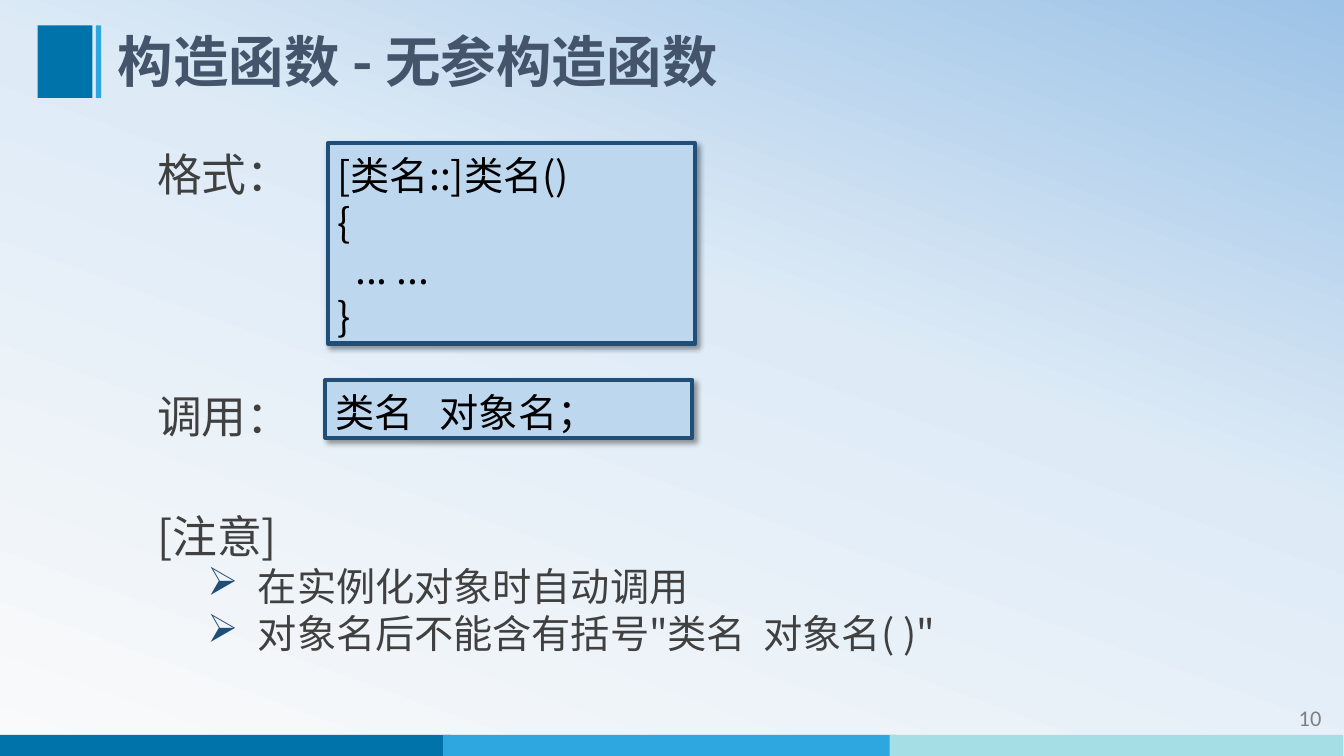
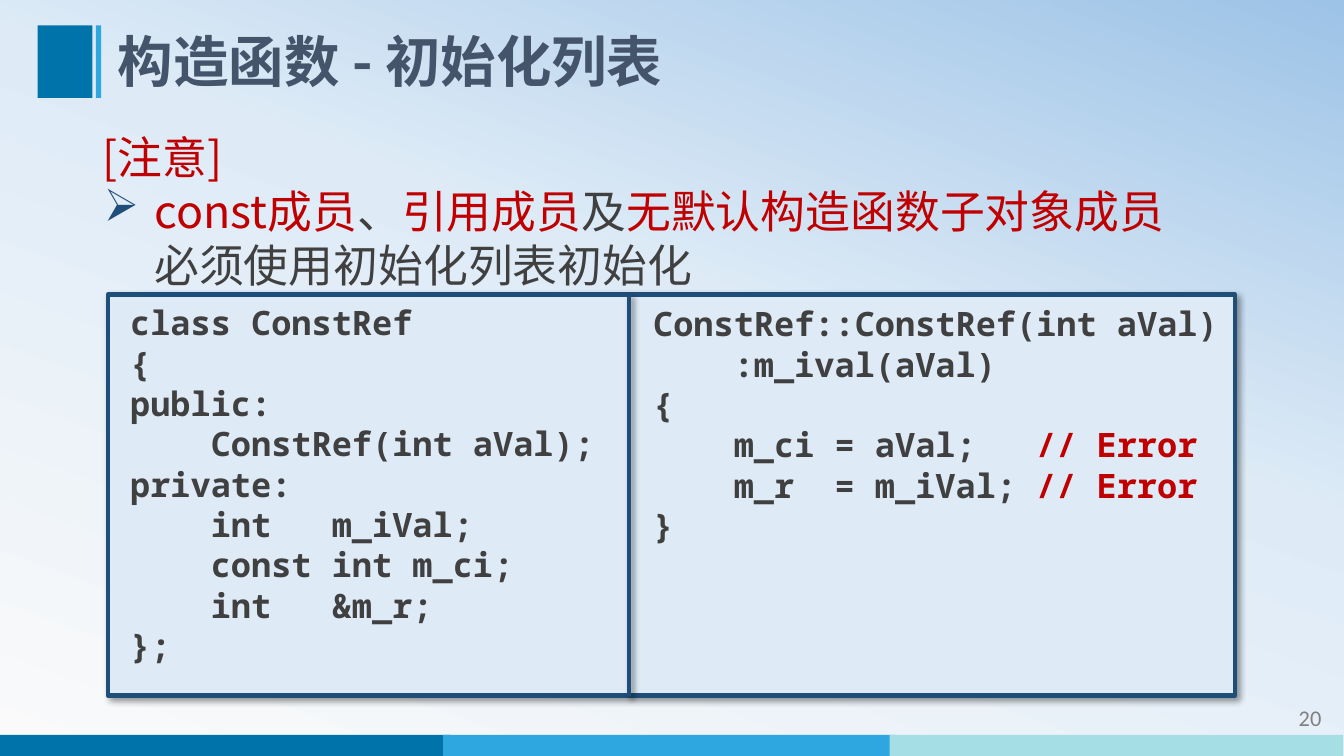
import dataclasses

import lxml.etree
import pptx
import pptx.dml.color
import pptx.enum.shapes
import pptx.enum.text
import pptx.oxml.ns
import pptx.util

Cm = pptx.util.Cm
Pt = pptx.util.Pt
qn = pptx.oxml.ns.qn


@dataclasses.dataclass(frozen=True)
class Theme:
    """Colours, fonts and type sizes shared by all slides."""
    bands: tuple = ("0073AB", "2EA7E0", "A5DEE4")
    backdrop: tuple = ((0, "FAFAFA"), (58, "DEEBF7"), (100, "9DC3E6"))
    title: str = "44546A"
    ink: str = "404040"
    black: str = "000000"
    alert: str = "C00000"
    muted: str = "808080"
    border: str = "1F4E79"
    panel: str = "BDD7EE"
    pale: str = "DEEBF7"
    sans: str = "Noto Sans CJK SC"
    mono: str = "Noto Sans Mono"
    digits: str = "Calibri"
    title_size: float = 39.6
    head_size: int = 32
    item_size: int = 28
    code_size: int = 24
    number_size: int = 16
    leading: float = 1.2


def add_node(parent, tag, **attributes):
    """Append a drawing element with the given attributes."""
    return lxml.etree.SubElement(parent, qn(tag), attributes)


def add_colour(parent, colour):
    """Append an RGB colour element."""
    return add_node(parent, "a:srgbClr", val=colour)


class Lecture:
    """Builds lecture slides in one style."""

    def __init__(self, theme):
        """Open an empty deck with the shared backdrop."""
        self.theme = theme
        self.deck = pptx.Presentation()
        self.deck.slide_width = Cm(33.87)
        self.deck.slide_height = Cm(19.05)
        self.page = None
        master = self.deck.slide_master
        fill = master.background.fill
        fill.gradient()
        fill.gradient_angle = 70
        stops = master.element.find(".//" + qn("a:gsLst"))
        for stop in list(stops):
            stops.remove(stop)
        for percent, colour in theme.backdrop:
            add_colour(add_node(stops, "a:gs", pos=str(percent * 1000)), colour)

    def add_page(self, title, number):
        """Start a slide with its bands, title and number."""
        theme = self.theme
        self.page = self.deck.slides.add_slide(self.deck.slide_layouts[6])
        for index, colour in enumerate(theme.bands):
            self.box(-0.08 + 11.25 * index, 18.52, 11.43, 0.53, colour)
        self.box(0.95, 0.64, 1.38, 1.83, theme.bands[0])
        self.box(2.42, 0.64, 0.13, 1.83, theme.bands[1])
        frame = self.text(29.51, 17.55, 4.04, 1.02)
        para = self.para(frame, [(number, theme.muted)], theme.number_size, theme.digits)
        para.alignment = pptx.enum.text.PP_ALIGN.RIGHT
        frame = self.text(2.72, 0.64, 27.58, 1.83)
        frame.vertical_anchor = pptx.enum.text.MSO_ANCHOR.MIDDLE
        self.para(frame, [(title, theme.title)], theme.title_size, bold=True, spacing=0.9)

    def box(self, left, top, width, height, colour, framed=False):
        """Add a rectangle and return its text frame."""
        shape = self.page.shapes.add_shape(
            pptx.enum.shapes.MSO_SHAPE.RECTANGLE,
            Cm(left), Cm(top), Cm(width), Cm(height))
        shape.fill.solid()
        shape.fill.fore_color.rgb = pptx.dml.color.RGBColor.from_string(colour)
        shape.shadow.inherit = False
        if framed:
            self.outline(shape)
        else:
            shape.line.fill.background()
        return self.prepare(shape.text_frame)

    def text(self, left, top, width, height):
        """Add a text box and return its text frame."""
        box = self.page.shapes.add_textbox(Cm(left), Cm(top), Cm(width), Cm(height))
        return self.prepare(box.text_frame)

    def prepare(self, frame):
        """Set wrapping, anchor and inset of a text frame."""
        frame.word_wrap = True
        frame.vertical_anchor = pptx.enum.text.MSO_ANCHOR.TOP
        frame.margin_top = Cm(0.2)
        return frame

    def divider(self, x, top, bottom):
        """Add a vertical rule."""
        rule = self.page.shapes.add_connector(
            pptx.enum.shapes.MSO_CONNECTOR.STRAIGHT, Cm(x), Cm(top), Cm(x), Cm(bottom))
        self.outline(rule)

    def outline(self, shape):
        """Give a shape the border line and a soft shadow."""
        shape.line.color.rgb = pptx.dml.color.RGBColor.from_string(self.theme.border)
        shape.line.width = Pt(3)
        properties = shape.element.spPr
        effects = properties.find(qn("a:effectLst"))
        if effects is None:
            effects = add_node(properties, "a:effectLst")
        shadow = add_node(effects, "a:outerShdw", blurRad=str(Pt(4)), dist=str(Pt(3)),
                          dir="2700000", algn="tl", rotWithShape="0")
        add_node(add_colour(shadow, self.theme.black), "a:alpha", val="40000")

    def para(self, frame, spans, size, font=None, bold=False, spacing=1.0,
             before=0, margin=0, hanging=0, bullet=False):
        """Add a paragraph of (text, colour) spans."""
        para = frame.paragraphs[0]
        if para.runs:
            para = frame.add_paragraph()
        para.alignment = pptx.enum.text.PP_ALIGN.LEFT
        para.line_spacing = Pt(size * self.theme.leading * spacing)
        para.space_before = Pt(before)
        for text, colour in spans:
            self.span(para, text, colour, size, font or self.theme.sans, bold)
        properties = para._p.get_or_add_pPr()
        properties.set("marL", str(Cm(margin)))
        properties.set("indent", str(-Cm(hanging)))
        if bullet:
            add_colour(add_node(properties, "a:buClr"), self.theme.border)
            add_node(properties, "a:buChar", char="➢")
        return para

    def span(self, para, text, colour, size, font, bold):
        """Add one formatted run."""
        span = para.add_run()
        span.text = text
        span.font.size = Pt(size)
        span.font.bold = bold
        span.font.color.rgb = pptx.dml.color.RGBColor.from_string(colour)
        span.font.name = font
        add_node(span.font._element, "a:ea", typeface=font)

    def code(self, left, top, width, height, lines):
        """Add a listing whose lines are lists of spans."""
        frame = self.text(left, top, width, height)
        for spans in lines:
            self.para(frame, spans, self.theme.code_size, self.theme.mono,
                      bold=True, margin=1.02, hanging=0.71)


def default_constructor(lecture):
    """Build the slide on constructors without parameters."""
    theme = lecture.theme
    lecture.add_page("构造函数 - 无参构造函数", "10")
    labels = lecture.text(3.71, 2.82, 4.5, 8.46)
    blank_lines = 2 * theme.head_size * theme.leading * 1.5
    for label, before in (("格式：", 0), ("调用：", blank_lines)):
        lecture.para(labels, [(label, theme.ink)], theme.head_size,
                     spacing=1.5, before=before)
    syntax = lecture.box(8.26, 3.61, 9.25, 5.05, theme.panel, framed=True)
    for line in ("[类名::]类名()", "{", "  ... ...", "}"):
        lecture.para(syntax, [(line, theme.black)], theme.item_size)
    call = lecture.box(8.2, 9.58, 9.25, 1.45, theme.panel, framed=True)
    lecture.para(call, [("类名   对象名；", theme.black)], theme.item_size)
    notes = lecture.text(3.71, 11.94, 26.95, 4.7)
    lecture.para(notes, [("[注意]", theme.ink)], theme.head_size, spacing=1.5)
    for note in ("在实例化对象时自动调用", "对象名后不能含有括号\"类名  对象名( )\""):
        para = lecture.para(notes, [(note, theme.ink)], theme.item_size,
                            margin=2.54, hanging=1.27, bullet=True)
        para.level = 1


def initializer_list(lecture):
    """Build the slide on initializer lists."""
    theme = lecture.theme
    ink, alert = theme.ink, theme.alert
    lecture.add_page("构造函数 - 初始化列表", "20")
    notes = lecture.text(2.34, 3.07, 28.37, 4.37)
    lecture.para(notes, [("[注意]", alert)], theme.head_size)
    rule = [("const成员", alert), ("、", ink), ("引用成员", alert), ("及", ink),
            ("无默认构造函数子对象成员", alert), ("必须使用初始化列表初始化", ink)]
    lecture.para(notes, rule, theme.head_size, margin=1.3, hanging=1.27, bullet=True)
    top, height = 7.42, 10.11
    lecture.box(2.72, top, 28.4, height, theme.pale, framed=True)
    declaration = ("class ConstRef", "{", "public:", "    ConstRef(int aVal);", "private:",
                   "    int   m_iVal;", "    const int m_ci;", "    int   &m_r;", "};")
    lecture.code(2.72, top, 14.43, height, [[(line, ink)] for line in declaration])
    error = ("// Error", alert)
    lecture.code(15.9, top + 0.02, 15.04, height, [
        [("ConstRef::ConstRef(int aVal)", ink)],
        [("    :m_ival(aVal)", ink)],
        [("{", ink)],
        [("    m_ci = aVal;   ", ink), error],
        [("    m_r  = m_iVal; ", ink), error],
        [("}", ink)],
    ])
    lecture.divider(15.85, top, top + height)


lecture = Lecture(Theme())
default_constructor(lecture)
initializer_list(lecture)
lecture.deck.save("out.pptx")
